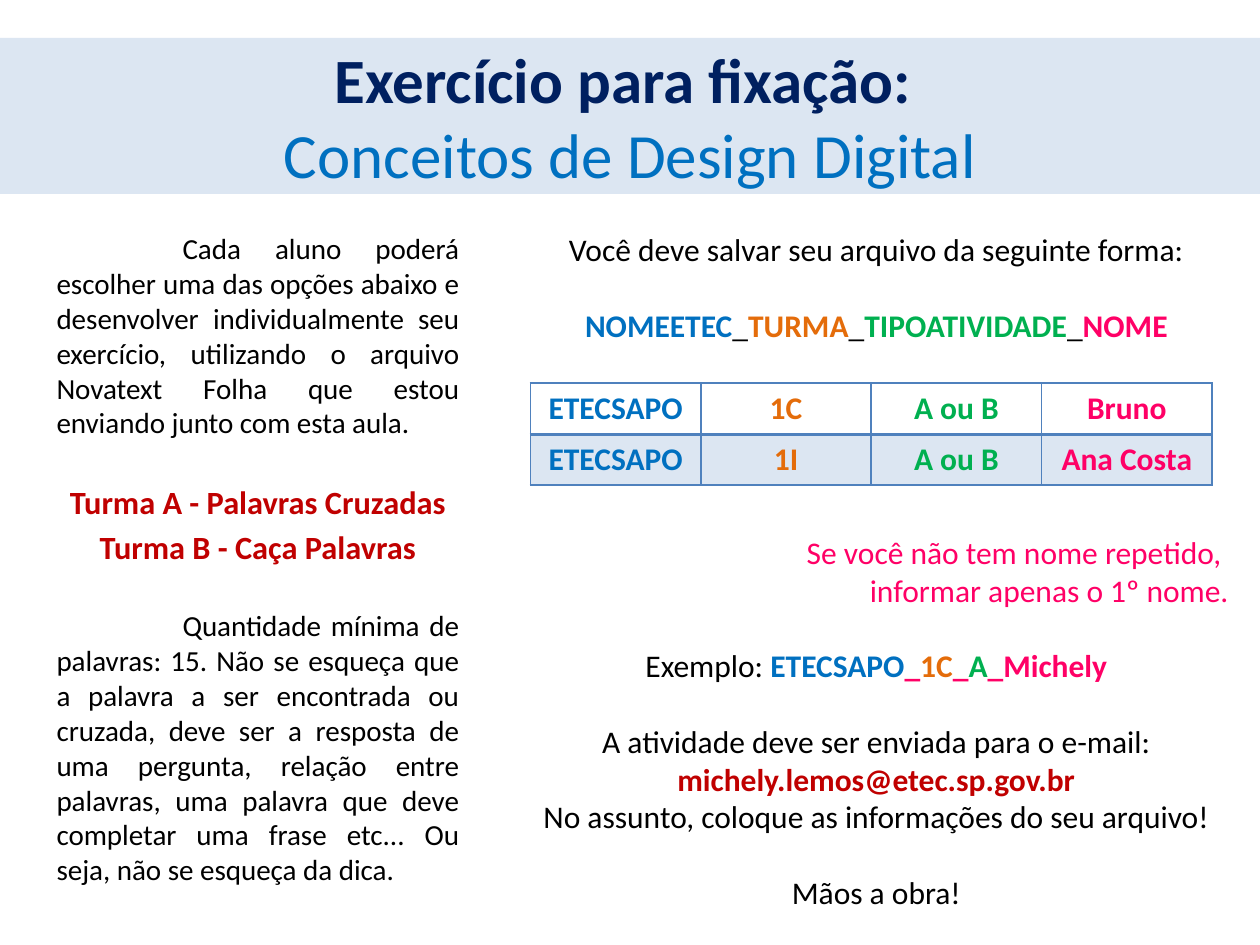
from lxml.etree import SubElement
from pptx import Presentation
from pptx.dml.color import RGBColor
from pptx.enum.shapes import MSO_SHAPE
from pptx.enum.text import MSO_ANCHOR, PP_ALIGN
from pptx.oxml.ns import qn
from pptx.util import Inches, Pt

COLORS = {
    "band": "DCE6F2", "navy": "002060", "blue": "0070C0", "black": "000000",
    "red": "C00000", "orange": "E46C0A", "green": "00B050", "pink": "FF0066",
    "border": "4F81BD", "white": "FFFFFF",
}
ALIGN = {"c": PP_ALIGN.CENTER, "j": PP_ALIGN.JUSTIFY, "r": PP_ALIGN.RIGHT}
FONT = "Calibri"
W, H = 10, 7.5
LINE = 21.6

# (alignment, size, space before, runs of (text, colour, bold))
TITLE = [("c", 36, 0, [("Exercício para fixação: \n", "navy", True),
                       ("Conceitos de Design Digital", "blue", False)])]
TASK = [
    ("j", 16.6, 0, [(
        "Cada aluno poderá escolher uma das opções abaixo e desenvolver "
        "individualmente seu exercício, utilizando o arquivo Novatext Folha "
        "que estou enviando junto com esta aula.", "black", False)]),
    ("c", 18.5, 24, [("Turma A - Palavras Cruzadas", "red", True)]),
    ("c", 18.5, 3.5, [("Turma B - Caça Palavras", "red", True)]),
    ("j", 16.6, 24, [(
        "Quantidade mínima de palavras: 15. Não se esqueça que a palavra a ser "
        "encontrada ou cruzada, deve ser a resposta de uma pergunta, relação "
        "entre palavras, uma palavra que deve completar uma frase etc... Ou "
        "seja, não se esqueça da dica.", "black", False)]),
]
DELIVERY = [
    ("c", 18, 0, [("Você deve salvar seu arquivo da seguinte forma:", "black", False)]),
    ("c", 18, LINE, [
        ("NOMEETEC", "blue", True), ("_", "black", False),
        ("TURMA", "orange", True), ("_", "black", False),
        ("TIPOATIVIDADE", "green", True), ("_", "black", False),
        ("NOME", "pink", True)]),
    ("r", 18, 5 * LINE, [
        ("Se você não tem nome repetido, \ninformar apenas o 1º nome.", "pink", False)]),
    ("c", 18, LINE, [
        ("Exemplo: ", "black", False), ("ETECSAPO", "blue", True),
        ("_", "pink", True), ("1C", "orange", True), ("_", "pink", True),
        ("A", "green", True), ("_Michely", "pink", True)]),
    ("c", 18, LINE, [("A atividade deve ser enviada para o e-mail:", "black", False)]),
    ("c", 18, 0, [("michely.lemos@etec.sp.gov.br", "red", True)]),
    ("c", 18, 0, [("No assunto, coloque as informações do seu arquivo!", "black", False)]),
    ("c", 18, LINE, [("Mãos a obra!", "black", False)]),
]
NAMES = [("ETECSAPO", "1C", "A ou B", "Bruno"),
         ("ETECSAPO", "1I", "A ou B", "Ana Costa")]
NAME_COLORS = ("blue", "orange", "green", "pink")
ROW_FILLS = ("white", "band")


def rgb(name):
    return RGBColor.from_string(COLORS[name])


def write(tf, paragraphs):
    for i, (align, size, before, runs) in enumerate(paragraphs):
        p = tf.paragraphs[0] if i == 0 else tf.add_paragraph()
        p.alignment = ALIGN[align]
        p.space_before = Pt(before)
        p.font.size = Pt(size)
        if align == "j":
            p._p.get_or_add_pPr().set("indent", str(Inches(1)))
        for text, color, bold in runs:
            for k, part in enumerate(text.split("\n")):
                if k:
                    p.add_line_break()
                if part:
                    r = p.add_run()
                    r.text = part
                    r.font.name, r.font.size, r.font.bold = FONT, Pt(size), bold
                    r.font.color.rgb = rgb(color)
            


def add_text(s, box, paragraphs):
    tf = s.shapes.add_textbox(*map(Inches, box)).text_frame
    tf.word_wrap = True
    write(tf, paragraphs)


def set_borders(cell, widths):
    tc_pr = cell._tc.get_or_add_tcPr()
    for side, width in zip("LRTB", widths):
        ln = SubElement(tc_pr, qn(f"a:ln{side}"), w=str(Pt(width)))
        fill = SubElement(ln, qn("a:solidFill"))
        SubElement(fill, qn("a:srgbClr"), val=COLORS["border"])


def add_names(s, box):
    rows, cols = len(NAMES), len(NAME_COLORS)
    table = s.shapes.add_table(rows, cols, *map(Inches, box)).table
    table.first_row = table.horz_banding = False
    for i, row in enumerate(NAMES):
        for j, (text, color) in enumerate(zip(row, NAME_COLORS)):
            cell = table.cell(i, j)
            set_borders(cell, (1, 1, 2 if i else 1, 1 if i else 2))
            cell.fill.solid()
            cell.fill.fore_color.rgb = rgb(ROW_FILLS[i])
            write(cell.text_frame, [("c", 18, 0, [(text, color, True)])])


def main():
    """Build the exercise slide and save it."""
    prs = Presentation()
    prs.slide_width, prs.slide_height = Inches(W), Inches(H)
    s = prs.slides.add_slide(prs.slide_layouts[6])

    sp = s.shapes.add_shape(MSO_SHAPE.RECTANGLE, *map(Inches, (0, 0.04 * H, W, 1.24)))
    sp.shadow.inherit = False
    sp.fill.solid()
    sp.fill.fore_color.rgb = rgb("band")
    sp.line.fill.background()
    sp.text_frame.word_wrap = True
    sp.text_frame.vertical_anchor = MSO_ANCHOR.MIDDLE
    write(sp.text_frame, TITLE)

    top = 1.78
    add_text(s, (0.35, top, 3.39, 5.28), TASK)
    add_text(s, (4.06, top, 5.79, 5.55), DELIVERY)
    add_names(s, (4.21, 3.04, 5.41, 0.81))
    prs.save("out.pptx")


if __name__ == "__main__":
    main()
